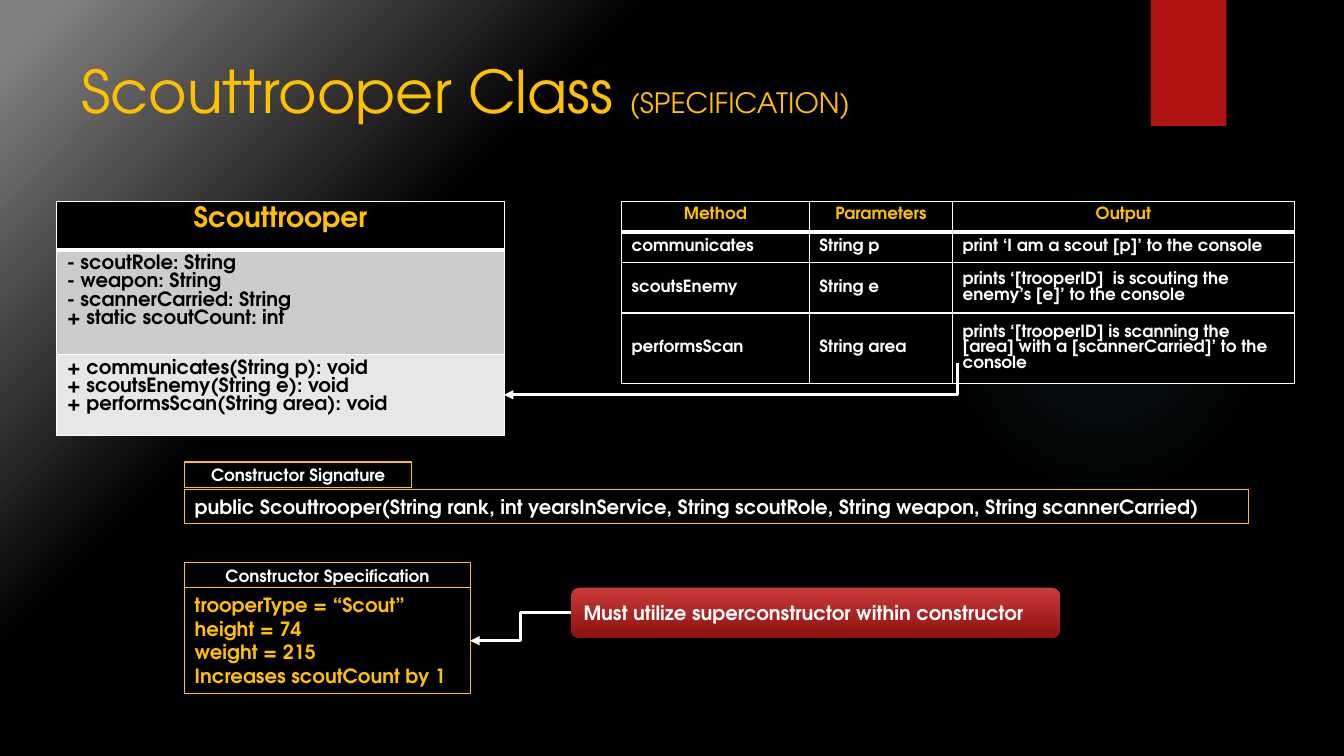
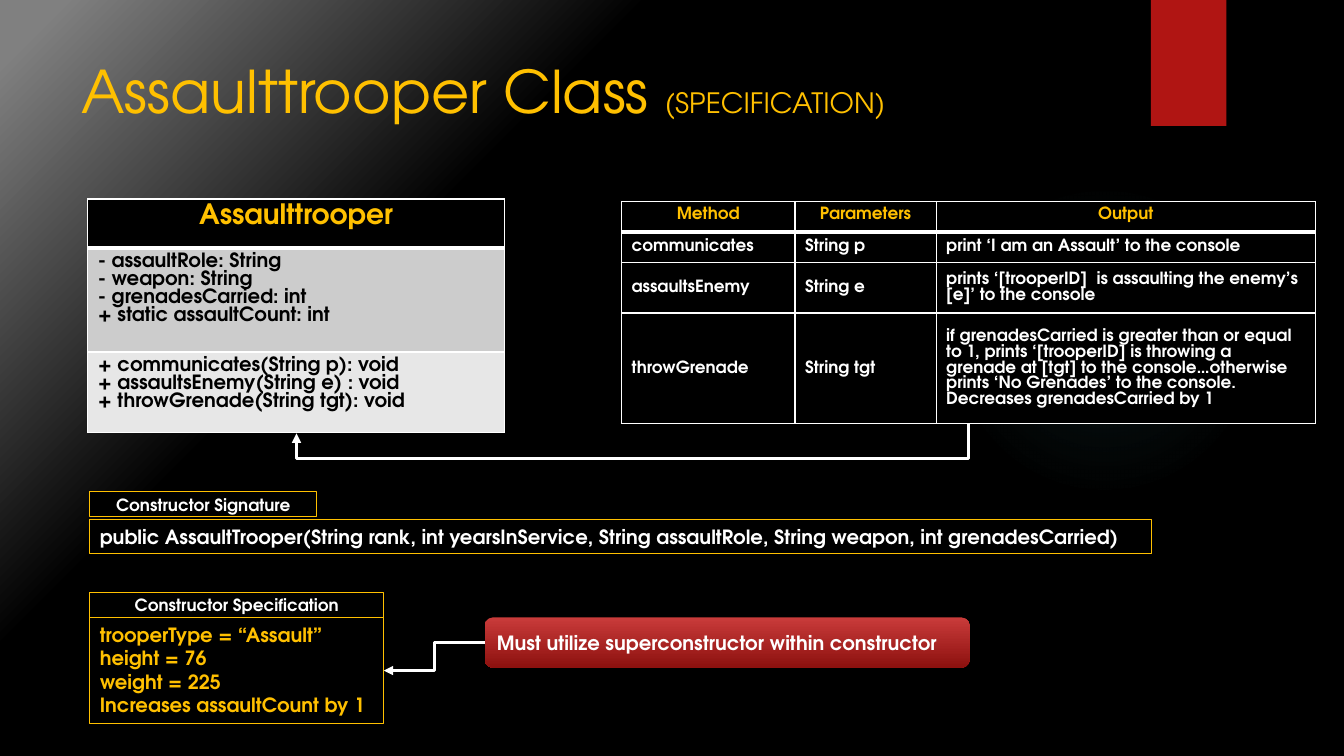
from dataclasses import dataclass

from lxml.etree import SubElement
from pptx import Presentation
from pptx.dml.color import RGBColor
from pptx.enum.shapes import MSO_CONNECTOR as Link, MSO_SHAPE as Preset
from pptx.enum.text import MSO_ANCHOR as Anchor, PP_ALIGN as Align
from pptx.oxml.ns import qn
from pptx.util import Inches, Pt


@dataclass(frozen=True)
class Theme:
    font: str = "TeX Gyre Adventor"
    black: str = "000000"
    white: str = "FFFFFF"
    gold: str = "FFC000"
    red: str = "B01513"
    attribute_fill: str = "CCCCCC"
    operation_fill: str = "E7E7E7"
    backdrop: tuple = ((0, "000000", 100), (69, "000000", 100), (97, "808080", 100))
    glow: tuple = ((0, "50B9C1", 7), (36, "50B9C1", 6), (69, "50B9C1", 0))
    callout: tuple = ((0, "C93B3A", 100), (100, "8D110F", 100))
    title: int = 42
    heading: int = 20
    body: int = 14
    small: int = 12


THEME = Theme()
CELLS_PER_INCH = 12  # the slide is a grid of 160 columns by 90 rows


@dataclass(frozen=True)
class TrooperClass:
    name: str
    attributes: tuple
    operations: tuple
    methods: tuple
    signature: str
    settings: tuple
    class_box: tuple       # left, top, width
    method_columns: tuple
    last_method_row: float
    constructor_at: tuple  # left, top
    signature_width: float
    settings_width: float
    callout_width: float
    arrow: tuple           # start x, start y, end x, end y
    arrow_bend: int = 0    # percent of the drop; 0 means one corner only


def cells(count):
    return Inches(count / CELLS_PER_INCH)


def rgb(code):
    return RGBColor.from_string(code)


def style(span, size, color, bold=True):
    span.font.name = THEME.font
    span.font.size = Pt(size)
    span.font.bold = bold
    span.font.color.rgb = rgb(color)


def write(frame, lines, size, color, align=Align.LEFT):
    frame.word_wrap = True
    frame.text = "\n".join(lines)
    for para in frame.paragraphs:
        para.alignment = align
        for span in para.runs:
            style(span, size, color)


def set_gradient(fill, element, stops, center=None):
    """Fill with stops of (percent, colour, opacity): circular from center, else downwards."""
    fill.solid()
    solid = element.find(".//" + qn("a:solidFill"))
    gradient = solid.makeelement(qn("a:gradFill"), {"rotWithShape": "1"})
    stop_list = SubElement(gradient, qn("a:gsLst"))
    for percent, color, opacity in stops:
        stop = SubElement(stop_list, qn("a:gs"), pos=str(percent * 1000))
        tint = SubElement(stop, qn("a:srgbClr"), val=color)
        if opacity < 100:
            SubElement(tint, qn("a:alpha"), val=str(opacity * 1000))
    if center:
        circle = SubElement(gradient, qn("a:path"), path="circle")
        sides = {side: str(share * 1000) for side, share in zip("ltrb", center)}
        SubElement(circle, qn("a:fillToRect"), sides)
    else:
        SubElement(gradient, qn("a:lin"), ang="5400000", scaled="0")
    solid.getparent().replace(solid, gradient)


def add_panel(page, preset, box, fill, line=None):
    panel = page.shapes.add_shape(preset, *map(cells, box))
    panel.shadow.inherit = False
    panel.fill.solid()
    panel.fill.fore_color.rgb = rgb(fill)
    if line:
        panel.line.color.rgb = rgb(line)
        panel.line.width = Pt(0.75)
    else:
        panel.line.fill.background()
    return panel


def add_framed_text(page, box, lines, size, color, align=Align.LEFT, anchor=Anchor.TOP):
    panel = add_panel(page, Preset.RECTANGLE, box, THEME.black, THEME.gold)
    panel.text_frame.vertical_anchor = anchor
    write(panel.text_frame, lines, size, color, align)
    return panel


def add_bent_arrow(page, *ends):
    arrow = page.shapes.add_connector(Link.ELBOW, *map(cells, ends))
    arrow.line.color.rgb = rgb(THEME.white)
    arrow.line.width = Pt(2.25)
    properties = arrow.element.spPr
    SubElement(properties.find(qn("a:ln")), qn("a:tailEnd"), type="triangle")
    SubElement(properties, qn("a:effectLst"))
    return arrow


def add_drop_arrow(page, start_x, start_y, end_x, end_y, bend):
    """Arrow that first runs down from its start, then left to its end."""
    run, drop = start_x - end_x, end_y - start_y
    left = (start_x + end_x - drop) / 2
    top = (start_y + end_y - run) / 2
    arrow = add_bent_arrow(page, left, top, left + drop, top + run)
    properties = arrow.element.spPr
    properties.find(qn("a:xfrm")).set("rot", "5400000")
    geometry = properties.find(qn("a:prstGeom"))
    if bend:
        guides = geometry.find(qn("a:avLst"))
        SubElement(guides, qn("a:gd"), name="adj1", fmla=f"val {bend * 1000}")
    else:
        geometry.set("prst", "bentConnector2")


def add_grid(page, left, top, widths, heights):
    """Black table with white rules and a heavy rule below its first row."""
    frame = page.shapes.add_table(len(heights), len(widths), cells(left), cells(top),
                                  cells(sum(widths)), cells(sum(heights)))
    table = frame.table
    table.first_row = table.horz_banding = False
    for column, width in zip(table.columns, widths):
        column.width = cells(width)
    for index, (row, height) in enumerate(zip(table.rows, heights)):
        row.height = cells(height)
        for cell in row.cells:
            set_fill(cell, THEME.black)
            set_borders(cell, first=index == 0)
    return table


def set_fill(cell, color):
    cell.fill.solid()
    cell.fill.fore_color.rgb = rgb(color)


def set_borders(cell, first):
    properties = cell._tc.get_or_add_tcPr()
    widths = {"lnL": 1, "lnR": 1, "lnB": 1}
    if first:
        widths = {"lnL": 1, "lnR": 1, "lnT": 1, "lnB": 3}
    for position, (side, width) in enumerate(widths.items()):
        line = properties.makeelement(qn("a:" + side), {"w": str(Pt(width))})
        paint = SubElement(line, qn("a:solidFill"))
        SubElement(paint, qn("a:srgbClr"), val=THEME.white)
        properties.insert(position, line)


def add_decor(page):
    glow = add_panel(page, Preset.OVAL, (113, 22, 37, 37), THEME.black)
    set_gradient(glow.fill, glow.element, THEME.glow, center=(50, 50, 50, 50))
    add_panel(page, Preset.RECTANGLE, (137, 0, 9, 15), THEME.red)


def add_title(page, name):
    frame = page.shapes.add_textbox(*map(cells, (8.5, 5.9, 123.5, 8.7))).text_frame
    frame.word_wrap = True
    para = frame.paragraphs[0]
    for text, size in ((f"{name} Class ", THEME.title), ("(SPECIFICATION)", THEME.heading)):
        span = para.add_run()
        span.text = text
        style(span, size, THEME.gold, bold=False)


def add_class_diagram(page, trooper):
    left, top, width = trooper.class_box
    table = add_grid(page, left, top, [width], [5.8, 9.9, 7.65])
    write(table.cell(0, 0).text_frame, [trooper.name], THEME.heading, THEME.gold,
          Align.CENTER)
    members = ((trooper.attributes, THEME.attribute_fill),
               (trooper.operations, THEME.operation_fill))
    for row, (lines, fill) in enumerate(members, start=1):
        set_fill(table.cell(row, 0), fill)
        write(table.cell(row, 0).text_frame, lines, THEME.body, THEME.black)


def add_method_table(page, left, top, trooper):
    heights = [3.6, 3.65, 5.95, trooper.last_method_row]
    table = add_grid(page, left, top, trooper.method_columns, heights)
    for column, label in enumerate(("Method", "Parameters", "Output")):
        write(table.cell(0, column).text_frame, [label], THEME.small, THEME.gold,
              Align.CENTER)
    for row, values in enumerate(trooper.methods, start=1):
        for column, value in enumerate(values):
            cell = table.cell(row, column)
            cell.vertical_anchor = Anchor.MIDDLE
            write(cell.text_frame, [value], THEME.small, THEME.white)


def add_constructor(page, trooper):
    left, top = trooper.constructor_at
    width = trooper.settings_width
    labels = (("Constructor Signature", top, 27),
              ("Constructor Specification", top + 12, width))
    for label, label_top, label_width in labels:
        add_framed_text(page, (left, label_top, label_width, 3), [label], THEME.small,
                        THEME.white, Align.CENTER, Anchor.MIDDLE)
    add_framed_text(page, (left, top + 3.3, trooper.signature_width, 4.05),
                    [trooper.signature], THEME.body, THEME.white)
    settings = add_framed_text(page, (left, top + 15, width, 12.55), trooper.settings,
                               THEME.body, THEME.gold)

    callout_left = left + width + 12
    callout = add_panel(page, Preset.ROUNDED_RECTANGLE,
                        (callout_left, top + 14.95, trooper.callout_width, 6), THEME.red)
    set_gradient(callout.fill, callout.element, THEME.callout)
    callout.text_frame.vertical_anchor = Anchor.MIDDLE
    write(callout.text_frame, ["Must utilize superconstructor within constructor"],
          THEME.body, THEME.white)
    arrow = add_bent_arrow(page, callout_left, top + 18, left + width, top + 21.25)
    arrow.begin_connect(callout, 1)
    arrow.end_connect(settings, 3)


def add_class_page(deck, trooper):
    page = deck.slides.add_slide(deck.slide_layouts[6])
    add_decor(page)
    add_title(page, trooper.name)
    add_class_diagram(page, trooper)
    add_constructor(page, trooper)
    add_method_table(page, 74, 24, trooper)
    add_drop_arrow(page, *trooper.arrow, trooper.arrow_bend)


SCOUT = TrooperClass(
    name="Scouttrooper",
    attributes=("- scoutRole: String", "- weapon: String", "- scannerCarried: String",
                "+ static scoutCount: int"),
    operations=("+ communicates(String p): void", "+ scoutsEnemy(String e): void",
                "+ performsScan(String area): void"),
    methods=(
        ("communicates", "String p", "print ‘I am a scout [p]’ to the console"),
        ("scoutsEnemy", "String e",
         "prints ‘[trooperID]  is scouting the enemy’s [e]’ to the console"),
        ("performsScan", "String area", "prints ‘[trooperID] is scanning the [area] "
         "with a [scannerCarried]’ to the console")),
    signature="public Scouttrooper(String rank, int yearsInService, String scoutRole, "
              "String weapon, String scannerCarried)",
    settings=("trooperType = “Scout”", "height = 74", "weight = 215",
              "Increases scoutCount by 1"),
    class_box=(6.75, 24, 53.3), method_columns=(22.35, 17.05, 40.7), last_method_row=8.4,
    constructor_at=(22, 55), signature_width=126.6, settings_width=34,
    callout_width=58.2, arrow=(114, 43.2, 60, 47))

ASSAULT = TrooperClass(
    name="Assaulttrooper",
    attributes=("- assaultRole: String", "- weapon: String", "- grenadesCarried: int",
                "+ static assaultCount: int"),
    operations=("+ communicates(String p): void", "+ assaultsEnemy(String e) : void",
                "+ throwGrenade(String tgt): void"),
    methods=(
        ("communicates", "String p", "print ‘I am an Assault’ to the console"),
        ("assaultsEnemy", "String e",
         "prints ‘[trooperID]  is assaulting the enemy’s [e]’ to the console"),
        ("throwGrenade", "String tgt", "if grenadesCarried is greater than or equal to 1, "
         "prints ‘[trooperID] is throwing a grenade at [tgt] to the console…otherwise "
         "prints ‘No Grenades’ to the console.\nDecreases grenadesCarried by 1")),
    signature="public AssaultTrooper(String rank, int yearsInService, String assaultRole, "
              "String weapon, int grenadesCarried)",
    settings=("trooperType = “Assault”", "height = 76", "weight = 225",
              "Increases assaultCount by 1"),
    class_box=(10.45, 23.7, 49.6), method_columns=(20.65, 16.8, 45.15),
    last_method_row=13.2, constructor_at=(10.7, 58.55), signature_width=126.4,
    settings_width=35, callout_width=57.75, arrow=(115.3, 50.4, 35.3, 51.6),
    arrow_bend=350)


def main():
    deck = Presentation()
    deck.slide_width, deck.slide_height = cells(160), cells(90)
    master = deck.slide_master
    set_gradient(master.background.fill, master.element, THEME.backdrop,
                 center=(100, 100, 0, 0))
    for trooper in (SCOUT, ASSAULT):
        add_class_page(deck, trooper)
    deck.save("out.pptx")


if __name__ == "__main__":
    main()
